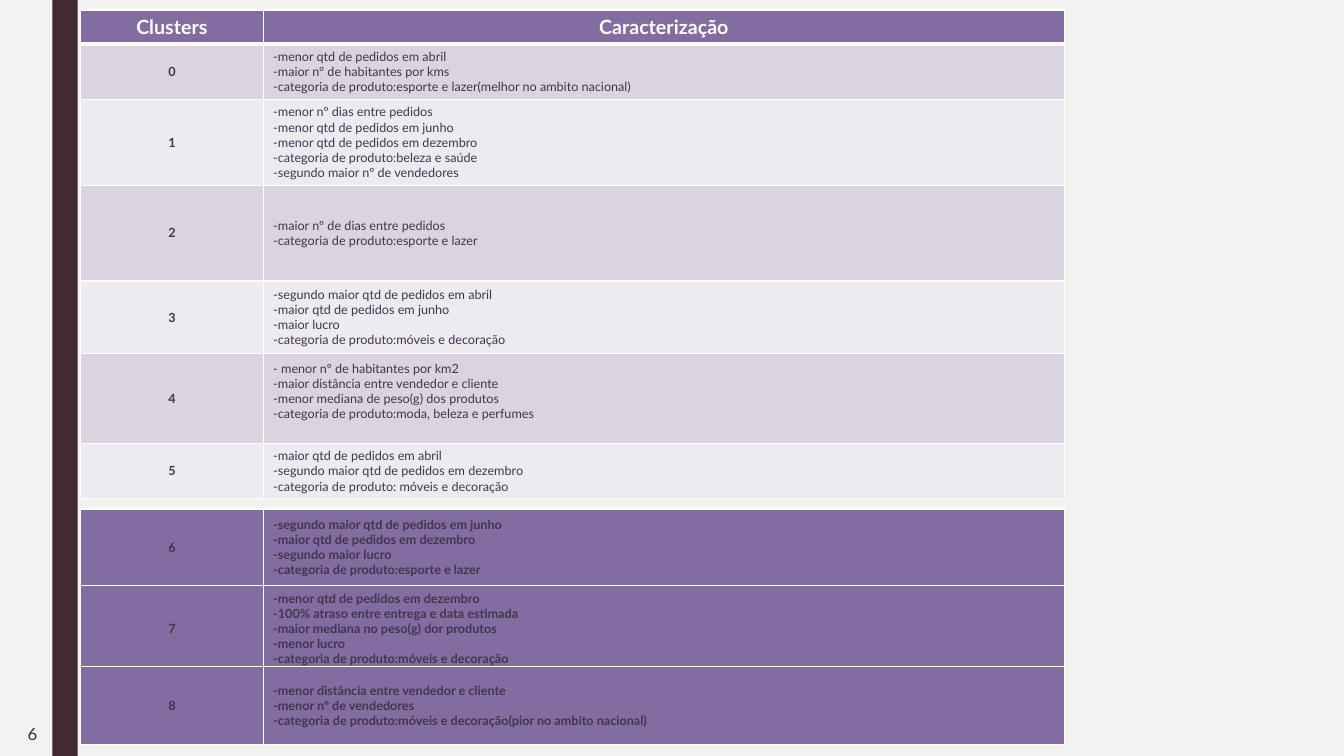
from lxml.etree import SubElement
from pptx import Presentation
from pptx.dml.color import RGBColor
from pptx.enum.shapes import MSO_SHAPE as Shape
from pptx.enum.text import MSO_ANCHOR as Anchor, PP_ALIGN as Align
from pptx.oxml.ns import qn
from pptx.util import Inches, Pt

FONT = "Lato"
WHITE, PAPER, WINE = "FFFFFF", "F2F2F0", "432A30"
PURPLE, INK = "836C9F", "413551"
BANDS = ("D9D4DF", "EDEBF0")
TABLE_LEFT = 0.8
COLUMN_WIDTHS = (1.81, 7.95)

HEADER = ("Clusters", ["Caracterização"])

# Cluster label and its traits
LIGHT_CLUSTERS = [
    ("0", ["-menor qtd de pedidos em abril",
           "-maior nº de habitantes por kms",
           "-categoria de produto:esporte e lazer(melhor no ambito nacional)"]),
    ("1", ["-menor nº dias entre pedidos",
           "-menor qtd de pedidos em junho",
           "-menor qtd de pedidos em dezembro",
           "-categoria de produto:beleza e saúde",
           "-segundo maior nº de vendedores"]),
    ("2", ["-maior nº de dias entre pedidos",
           "-categoria de produto:esporte e lazer"]),
    ("3", ["-segundo maior qtd de pedidos em abril",
           "-maior qtd de pedidos em junho",
           "-maior lucro",
           "-categoria de produto:móveis e decoração"]),
    ("4", ["- menor nº de habitantes por km2",
           "-maior distância entre vendedor e cliente",
           "-menor mediana de peso(g) dos produtos",
           "-categoria de produto:moda, beleza e perfumes"]),
    ("5", ["-maior qtd de pedidos em abril",
           "-segundo maior qtd de pedidos em dezembro",
           "-categoria de produto: móveis e decoração"]),
]
LIGHT_HEIGHTS = (0.32, 0.53, 0.82, 0.95, 0.72, 0.89, 0.52)

# Top, height and content of each single-row table
DARK_CLUSTERS = [
    (5.05, 0.76, ("6", ["-segundo maior qtd de pedidos em junho",
                        "-maior qtd de pedidos em dezembro",
                        "-segundo maior lucro",
                        "-categoria de produto:esporte e lazer"])),
    (5.81, 0.72, ("7", ["-menor qtd de pedidos em dezembro",
                        "-100% atraso entre entrega e data estimada",
                        "-maior mediana no peso(g) dor produtos",
                        "-menor lucro",
                        "-categoria de produto:móveis e decoração"])),
    (6.61, 0.78, ("8", ["-menor distância entre vendedor e cliente",
                        "-menor nº de vendedores",
                        "-categoria de produto:móveis e decoração(pior no ambito nacional)"])),
]


def color(hex_string):
    return RGBColor.from_string(hex_string)


def write_lines(frame, lines, size, ink, bold=False, align=Align.LEFT):
    for index, line in enumerate(lines):
        paragraph = frame.add_paragraph() if index else frame.paragraphs[0]
        paragraph.alignment = align
        run = paragraph.add_run()
        run.text = line
        run.font.name, run.font.size, run.font.bold = FONT, Pt(size), bold
        run.font.color.rgb = color(ink)


def set_borders(cell, bottom_width=1):
    properties = cell._tc.get_or_add_tcPr()
    for side in ("L", "R", "T", "B"):
        width = bottom_width if side == "B" else 1
        border = SubElement(properties, qn(f"a:ln{side}"), w=str(Pt(width)))
        fill = SubElement(border, qn("a:solidFill"))
        SubElement(fill, qn("a:srgbClr"), val=WHITE)


def fill_row(table, row, content, fill, ink=INK, size=9, bold_traits=False,
             traits_align=Align.LEFT, bottom_width=1):
    label, traits = content
    columns = (([label], True, Align.CENTER), (traits, bold_traits, traits_align))
    for column, (lines, bold, align) in enumerate(columns):
        cell = table.cell(row, column)
        set_borders(cell, bottom_width)
        cell.fill.solid()
        cell.fill.fore_color.rgb = color(fill)
        cell.vertical_anchor = Anchor.MIDDLE
        write_lines(cell.text_frame, lines, size, ink, bold, align)


def add_cluster_table(slide, top, heights):
    table = slide.shapes.add_table(
        len(heights), len(COLUMN_WIDTHS), Inches(TABLE_LEFT), Inches(top),
        Inches(sum(COLUMN_WIDTHS)), Inches(sum(heights))).table
    table.first_row = table.horz_banding = False
    for column, width in zip(table.columns, COLUMN_WIDTHS):
        column.width = Inches(width)
    for row, height in zip(table.rows, heights):
        row.height = Inches(height)
    return table


def add_side_bar(slide):
    bar = slide.shapes.add_shape(Shape.RECTANGLE, Inches(0.52), 0, Inches(0.25), Inches(7.5))
    bar.shadow.inherit = False
    bar.fill.solid()
    bar.fill.fore_color.rgb = color(WINE)
    bar.line.fill.background()


def add_page_number(slide, number):
    frame = slide.shapes.add_textbox(0, Inches(7.06), Inches(0.47), Inches(0.44)).text_frame
    frame.word_wrap = True
    frame.vertical_anchor = Anchor.MIDDLE
    write_lines(frame, [number], 12, WINE, align=Align.RIGHT)


def main():
    deck = Presentation()
    deck.slide_width, deck.slide_height = Inches(13.33), Inches(7.5)
    slide = deck.slides.add_slide(deck.slide_layouts[6])
    slide.background.fill.solid()
    slide.background.fill.fore_color.rgb = color(PAPER)

    # Frame of the slide
    add_side_bar(slide)
    add_page_number(slide, "6")

    # Header and clusters 0 to 5
    light_table = add_cluster_table(slide, 0.1, LIGHT_HEIGHTS)
    fill_row(light_table, 0, HEADER, PURPLE, WHITE, 14, True, Align.CENTER, 3)
    for index, cluster in enumerate(LIGHT_CLUSTERS):
        fill_row(light_table, index + 1, cluster, BANDS[index % 2])
    light_table.cell(1, 1).vertical_anchor = Anchor.TOP
    light_table.cell(5, 1).margin_bottom = Inches(0.2)

    # Clusters 6 to 8
    for top, height, cluster in DARK_CLUSTERS:
        dark_table = add_cluster_table(slide, top, [height])
        fill_row(dark_table, 0, cluster, PURPLE, bold_traits=True)

    deck.save("out.pptx")


if __name__ == "__main__":
    main()
